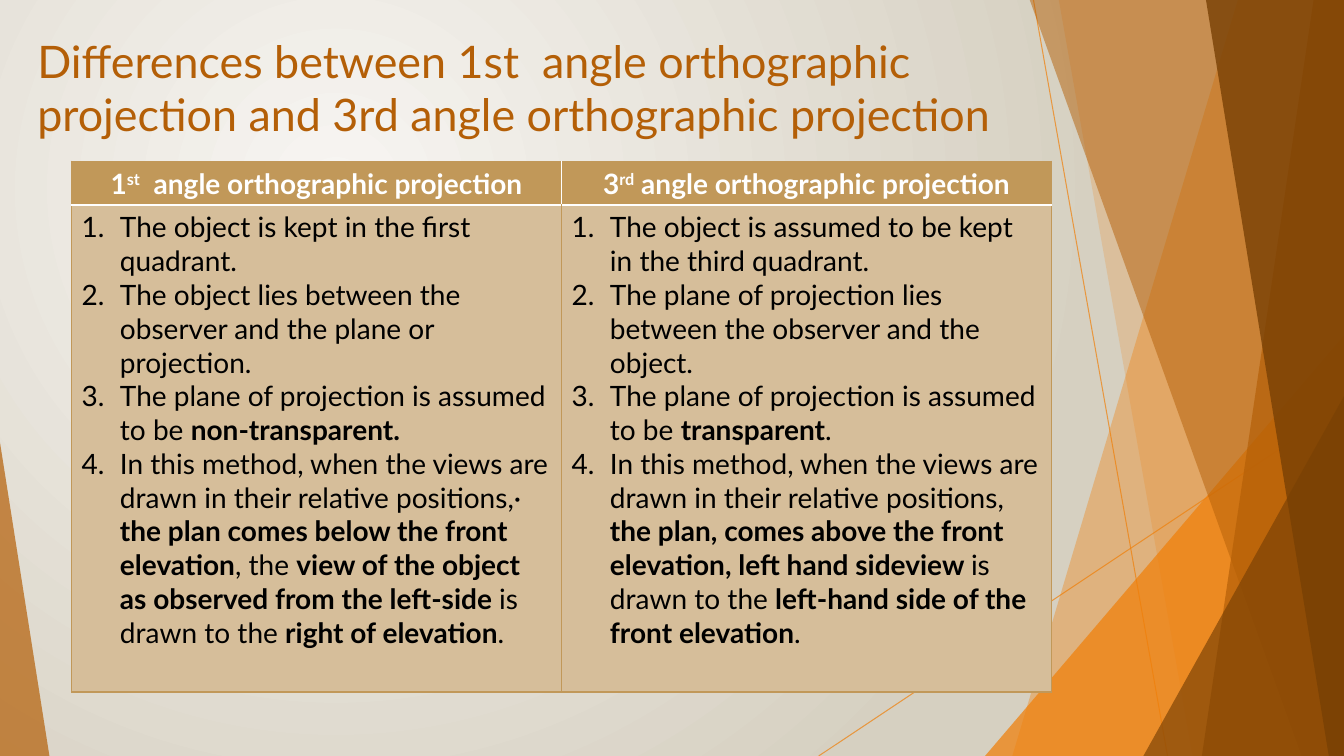
from lxml.etree import SubElement
from pptx import Presentation
from pptx.dml.color import RGBColor
from pptx.enum.shapes import MSO_CONNECTOR, MSO_SHAPE
from pptx.enum.text import MSO_ANCHOR, PP_ALIGN
from pptx.oxml.ns import qn
from pptx.util import Inches, Pt

ORANGE = RGBColor(0xF0, 0x7F, 0x09)
RUST = RGBColor(0xB4, 0x5F, 0x07)
BROWN = RGBColor(0x78, 0x40, 0x04)
TAN = RGBColor(0xC1, 0x98, 0x59)
PALE_TAN = RGBColor(0xD6, 0xBE, 0x9A)
IVORY = RGBColor(0xF7, 0xF5, 0xF2)
STONE = RGBColor(0xD6, 0xD0, 0xC1)
WHITE = RGBColor(0xFF, 0xFF, 0xFF)
BLACK = RGBColor(0x00, 0x00, 0x00)

FONT = "Lato"
WIDTH, HEIGHT = 13.33, 7.5
TITLE = "Differences between 1st  angle orthographic projection and 3rd angle orthographic projection"
HEADERS = [
    ("1", "st", "  angle orthographic projection"),
    ("3", "rd", " angle orthographic projection"),
]
POINTS = [
    [
        "The object is kept in the first quadrant.",
        "The object lies between the observer and the plane or projection.",
        "The plane of projection is assumed to be *non-transparent.*",
        "In this method, when the views are drawn in their relative positions,· "
        "*the plan comes below the front elevation*, the *view of the object as observed "
        "from the left-side *is drawn to the *right of elevation*.",
    ],
    [
        "The object is assumed to be kept in the third quadrant.",
        "The plane of projection lies between the observer and the object.",
        "The plane of projection is assumed to be *transparent*.",
        "In this method, when the views are drawn in their relative positions, "
        "*the plan, comes above the front elevation, left hand sideview *is drawn to the "
        "*left-hand side of the front elevation*.",
    ],
]


def set_alpha(parent, percent):
    """Make the solid colour inside an element partly transparent."""
    color = next(parent.iter(qn("a:srgbClr")))
    SubElement(color, qn("a:alpha"), val=str(percent * 1000))


def paint(shape, color, percent):
    """Give a shape a transparent fill with no outline or shadow."""
    shape.shadow.inherit = False
    shape.fill.solid()
    shape.fill.fore_color.rgb = color
    set_alpha(shape.element.spPr, percent)
    shape.line.fill.background()


def set_font(font, size, color, bold=False):
    """Set the typeface, size, colour and weight of a font."""
    font.name = FONT
    font.size = Pt(size)
    font.bold = bold
    font.color.rgb = color


def add_background(page):
    """Fill the page with a radial gradient."""
    fill = page.background.fill
    fill.gradient()
    for stop, position, color in zip(fill.gradient_stops, (0, 1), (IVORY, STONE)):
        stop.position = position
        stop.color.rgb = color
    gradient = next(page.element.iter(qn("a:gradFill")))
    gradient.remove(gradient.find(qn("a:lin")))
    radial = SubElement(gradient, qn("a:path"), path="circle")
    SubElement(radial, qn("a:fillToRect"), l="50000", t="50000", r="100000", b="100000")


def add_ray(page, start, end):
    """Draw a thin orange line."""
    ends = [Inches(value) for value in (*start, *end)]
    ray = page.shapes.add_connector(MSO_CONNECTOR.STRAIGHT, *ends)
    ray.line.color.rgb = ORANGE
    ray.line.width = Pt(0.75)
    set_alpha(ray.element.spPr, 70)
    SubElement(ray.element.spPr, qn("a:effectLst"))


def add_band(page, top_x, bottom_x, color, percent):
    """Draw a band from a slanted left side to the right edge of the page."""
    top = -0.01
    outline = page.shapes.build_freeform(Inches(top_x), Inches(top))
    corners = [(WIDTH, top), (WIDTH, HEIGHT), (bottom_x, HEIGHT)]
    outline.add_line_segments([(Inches(x), Inches(y)) for x, y in corners])
    paint(outline.convert_to_shape(), color, percent)


def add_corner(page, left, width, height, apex, color, percent):
    """Stand a right-angled triangle on the bottom edge of the page."""
    corner = page.shapes.add_shape(
        MSO_SHAPE.ISOSCELES_TRIANGLE,
        Inches(left), Inches(HEIGHT - height), Inches(width), Inches(height))
    corner.adjustments[0] = apex
    paint(corner, color, percent)


def add_facets(page):
    """Draw the translucent facets along the sides of the page."""
    add_ray(page, (10.25, 0), (11.58, HEIGHT))
    add_ray(page, (WIDTH, 4.03), (8.12, HEIGHT))
    add_band(page, 12.28, 10.04, ORANGE, 36)
    add_band(page, 10.5, 11.83, ORANGE, 20)
    add_corner(page, 9.77, 3.56, 4.17, 1, ORANGE, 72)
    add_band(page, 10.21, 12.91, RUST, 50)
    add_band(page, 13.03, 11.92, RUST, 70)
    add_band(page, 11.96, 13.18, BROWN, 80)
    add_corner(page, 11.34, 1.99, 3.57, 1, BROWN, 66)
    add_corner(page, 0, 0.49, 3.11, 0, RUST, 70)


def place_title(page, left, top, width, height):
    """Move and format the title placeholder."""
    title = page.shapes.title
    title.left, title.top = Inches(left), Inches(top)
    title.width, title.height = Inches(width), Inches(height)
    frame = title.text_frame
    frame.word_wrap = True
    frame.vertical_anchor = MSO_ANCHOR.TOP
    para = frame.paragraphs[0]
    para.text = TITLE
    para.alignment = PP_ALIGN.LEFT
    para.line_spacing = 1.0
    para.space_before = Pt(0)
    set_font(para.font, 32, RUST)
    title.element.getparent().append(title.element)


def style_cell(cell, fill, borders):
    """Fill a cell and draw its borders, given as side, colour and width."""
    properties = cell._tc.get_or_add_tcPr()
    for side, color, width in borders:
        line = SubElement(properties, qn(f"a:ln{side}"), w=str(Pt(width)))
        SubElement(SubElement(line, qn("a:solidFill")), qn("a:srgbClr"), val=str(color))
    cell.fill.solid()
    cell.fill.fore_color.rgb = fill


def write_header(cell, parts):
    """Write a column heading with a raised ordinal ending."""
    cell.vertical_anchor = MSO_ANCHOR.MIDDLE
    para = cell.text_frame.paragraphs[0]
    para.alignment = PP_ALIGN.CENTER
    set_font(para.font, 20, WHITE, True)
    for part in parts:
        para.add_run().text = part
    para.runs[1]._r.get_or_add_rPr().set("baseline", "30000")


def write_points(cell, points):
    """Write a numbered list in which starred passages are bold."""
    frame = cell.text_frame
    for index, point in enumerate(points):
        para = frame.add_paragraph() if index else frame.paragraphs[0]
        properties = para._p.get_or_add_pPr()
        properties.set("marL", str(Inches(0.38)))
        properties.set("indent", str(-Inches(0.38)))
        SubElement(properties, qn("a:buFont"), typeface="+mj-lt")
        SubElement(properties, qn("a:buAutoNum"), type="arabicPeriod")
        set_font(para.font, 20, BLACK)
        for position, passage in enumerate(point.split("*")):
            if passage:
                span = para.add_run()
                span.text = passage
                span.font.bold = position % 2 == 1


def add_comparison(page, left, top, width, row_heights):
    """Build the table that compares the two projections."""
    frame = page.shapes.add_table(
        2, 2, Inches(left), Inches(top), Inches(width), Inches(sum(row_heights)))
    table = frame.table
    for row, height in zip(table.rows, row_heights):
        row.height = Inches(height)
    for column, (header, points) in enumerate(zip(HEADERS, POINTS)):
        outer = "LR"[column]
        heading, body = table.cell(0, column), table.cell(1, column)
        style_cell(heading, TAN, [(outer, TAN, 1), ("T", TAN, 1), ("B", WHITE, 1.5)])
        style_cell(body, PALE_TAN, [
            ("L", TAN, 1), ("R", TAN, 1), ("T", WHITE, 1.5), ("B", TAN, 1)])
        write_header(heading, header)
        write_points(body, points)


def main():
    """Build the slide and save it."""
    deck = Presentation()
    deck.slide_width, deck.slide_height = Inches(WIDTH), Inches(HEIGHT)
    page = deck.slides.add_slide(deck.slide_layouts[5])
    add_background(page)
    add_facets(page)
    place_title(page, 0.27, 0.28, 10.86, 1.33)
    add_comparison(page, 0.71, 1.6, 9.72, (0.41, 4.83))
    deck.save("out.pptx")


if __name__ == "__main__":
    main()
